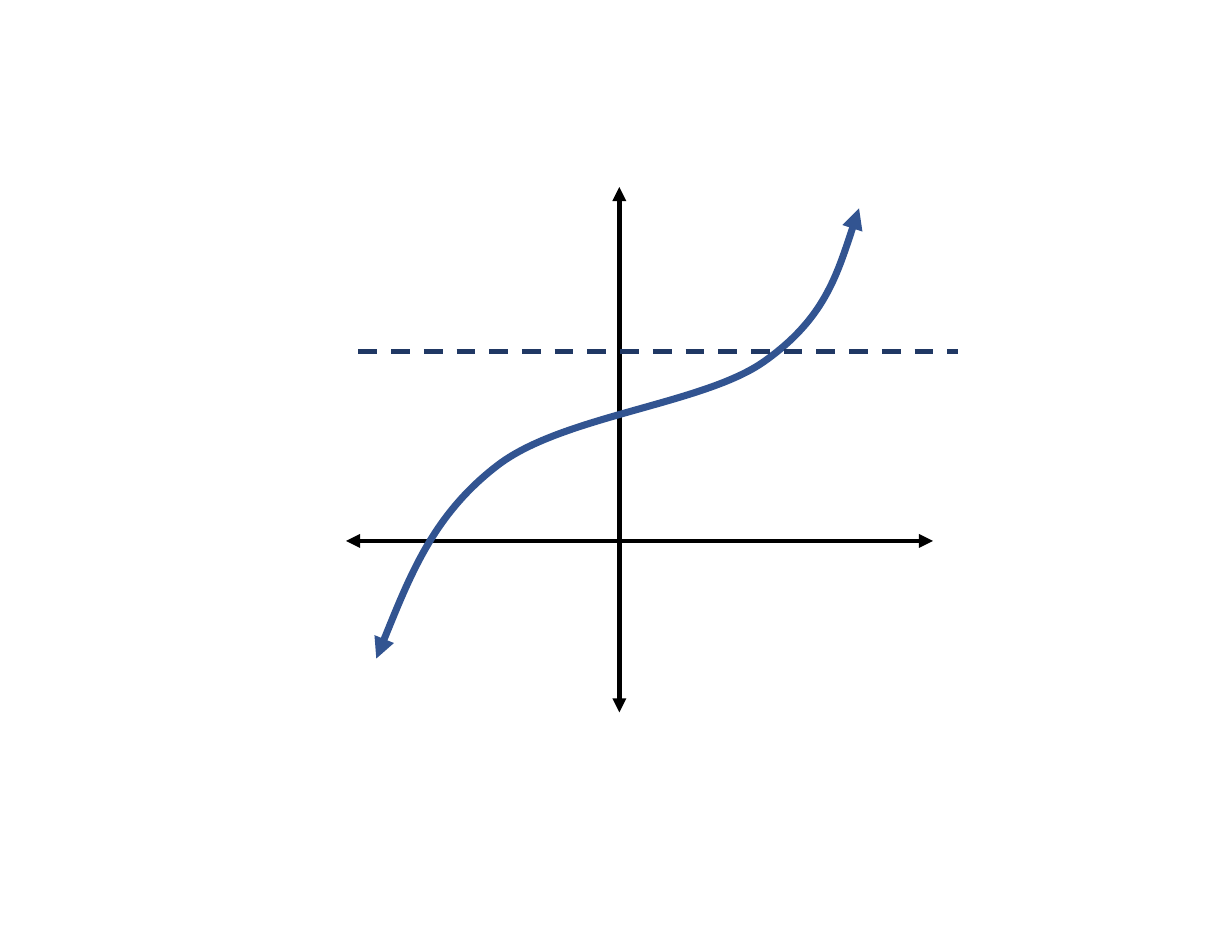
from dataclasses import dataclass

from lxml.etree import SubElement
from pptx import Presentation
from pptx.dml.color import RGBColor
from pptx.enum.dml import MSO_LINE
from pptx.enum.shapes import MSO_CONNECTOR
from pptx.oxml.ns import qn
from pptx.util import Inches, Pt


@dataclass(frozen=True)
class Theme:
    axis: str = "000000"
    curve: str = "325491"
    test_line: str = "203864"
    thin: float = 3
    thick: float = 4.5


THEME = Theme()

# Content: positions are (column, row) on a fine grid over the slide
COLUMNS, ROWS = 1100, 850
AXIS_ROW, AXIS_COLUMN, TEST_ROW = 483, 553, 314
AXES = [
    ((309, AXIS_ROW), (833, AXIS_ROW)),
    ((AXIS_COLUMN, 167), (AXIS_COLUMN, 636)),
]
TEST_LINE = ((320, TEST_ROW), (855, TEST_ROW))
CURVE_START = (336, 588)
# Each Bezier segment: two control points, then its end point
CURVE_SEGMENTS = [
    [(362, 524), (387, 459), (445, 415)],
    [(503, 371), (628, 361), (682, 323)],
    [(736, 285), (751, 235), (767, 186)],
]

presentation = Presentation()
presentation.slide_width = Inches(11)
presentation.slide_height = Inches(8.5)
slide = presentation.slides.add_slide(presentation.slide_layouts[6])


def place(point):
    column, row = point
    return (round(column * presentation.slide_width / COLUMNS),
            round(row * presentation.slide_height / ROWS))


def style_line(shape, color, width, arrows=False):
    shape.line.color.rgb = RGBColor.from_string(color)
    shape.line.width = Pt(width)
    if arrows:
        outline = shape.line._get_or_add_ln()
        for end in ("a:headEnd", "a:tailEnd"):
            SubElement(outline, qn(end), type="triangle")


def add_line(start, end, color, arrows=False):
    connector = slide.shapes.add_connector(
        MSO_CONNECTOR.STRAIGHT, *place(start), *place(end))
    style_line(connector, color, THEME.thin, arrows)
    SubElement(connector._element.spPr, qn("a:effectLst"))
    return connector


def add_curve(start, segments):
    builder = slide.shapes.build_freeform(*place(start))
    points = [place(point) for segment in segments for point in segment]
    builder.add_line_segments(points, close=False)
    shape = builder.convert_to_shape()
    shape.fill.background()
    shape.shadow.inherit = False
    # Turn every three straight steps into one cubic Bezier step
    outline_path = next(shape._element.iter(qn("a:path")))
    steps = outline_path.findall(qn("a:lnTo"))
    for first in range(0, len(steps), 3):
        bezier = SubElement(outline_path, qn("a:cubicBezTo"))
        for step in steps[first:first + 3]:
            bezier.append(step[0])
            outline_path.remove(step)
    return shape


# Axes
for start, end in AXES:
    add_line(start, end, THEME.axis, arrows=True)

# Function curve
curve = add_curve(CURVE_START, CURVE_SEGMENTS)
style_line(curve, THEME.curve, THEME.thick, arrows=True)

# Horizontal test line
test_line = add_line(*TEST_LINE, THEME.test_line)
test_line.line.dash_style = MSO_LINE.DASH

presentation.save("out.pptx")
